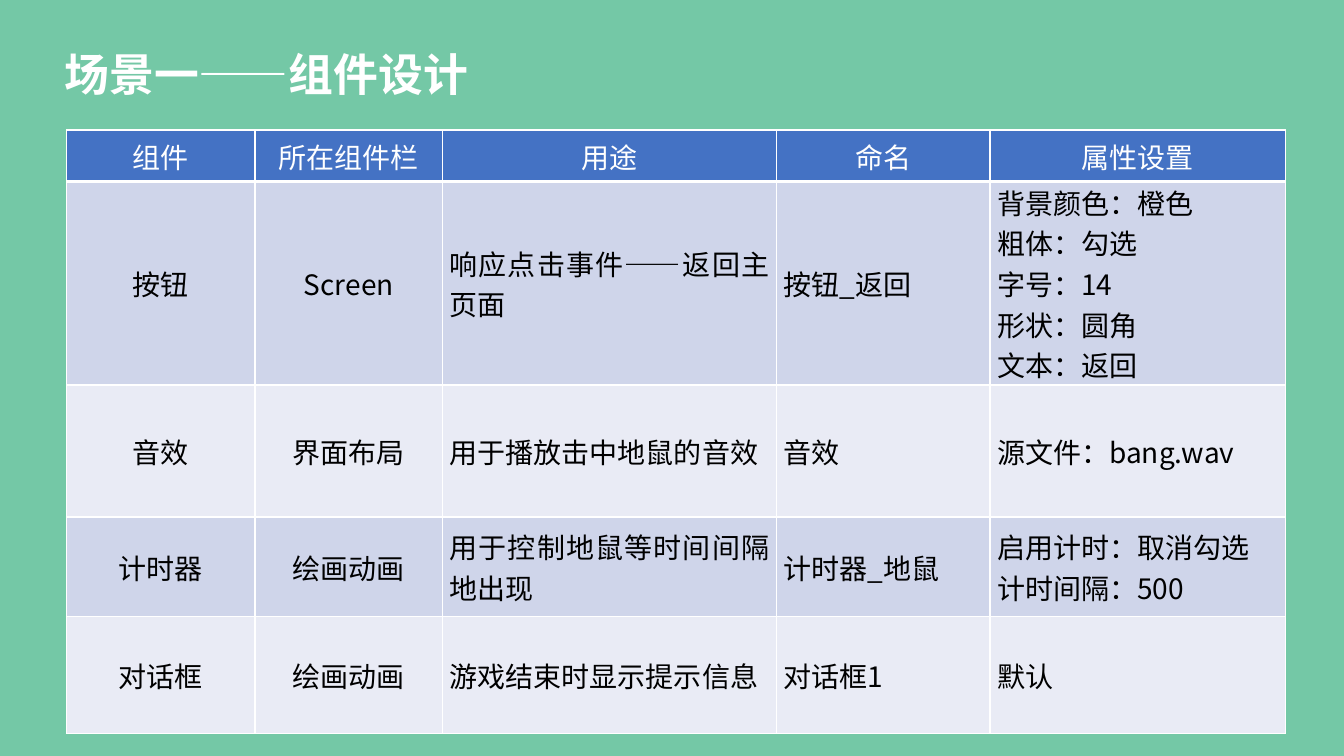
from dataclasses import dataclass

from lxml.etree import SubElement
from pptx import Presentation
from pptx.dml.color import RGBColor
from pptx.enum.text import MSO_ANCHOR as Anchor, PP_ALIGN as Align
from pptx.oxml.ns import qn
from pptx.util import Inches, Pt

TITLE = "场景一——组件设计"
HEADERS = ["组件", "所在组件栏", "用途", "命名", "属性设置"]
COMPONENTS = [
    ["按钮", "Screen", "响应点击事件——返回主页面", "按钮_返回",
     "背景颜色：橙色\n粗体：勾选\n字号：14\n形状：圆角\n文本：返回"],
    ["音效", "界面布局", "用于播放击中地鼠的音效", "音效", "源文件：bang.wav"],
    ["计时器", "绘画动画", "用于控制地鼠等时间间隔地出现", "计时器_地鼠",
     "启用计时：取消勾选\n计时间隔：500"],
    ["对话框", "绘画动画", "游戏结束时显示提示信息", "对话框1", "默认"],
]

COLUMN_WIDTHS = [1.87, 1.86, 3.31, 2.12, 2.93]
ROW_HEIGHTS = [0.51, 2.02, 1.31, 0.99, 1.16]
TABLE_LEFT, TABLE_TOP = 0.66, 1.29
TITLE_BOX = (0.54, 0.47, 6.13, 0.69)
CENTERED_COLUMNS = 2
HEADER_MARGINS = (0.1, 0.05)
LOOSE_MARGINS = (0.11, 0.05)
TIGHT_MARGINS = (0.07, 0)


@dataclass(frozen=True)
class Theme:
    font: str = "Noto Sans CJK SC"
    title_size: int = 32
    table_size: int = 20
    background: str = "74C8A6"
    header: str = "4472C4"
    bands: tuple = ("CFD5EA", "E9EBF5")
    light: str = "FFFFFF"
    dark: str = "000000"
    line: float = 1
    header_line: float = 3


THEME = Theme()


def add_text(paragraph, text, size, color, bold=False):
    run = paragraph.add_run()
    run.text = text
    font = run.font
    font.name, font.size, font.bold = THEME.font, Pt(size), bold
    font.color.rgb = RGBColor.from_string(color)
    SubElement(run._r.get_or_add_rPr(), qn("a:ea"), typeface=THEME.font)


def add_borders(cell, bottom_width):
    properties = cell._tc.get_or_add_tcPr()
    for side in "LRTB":
        width = bottom_width if side == "B" else THEME.line
        line = SubElement(properties, qn(f"a:ln{side}"), w=str(Pt(width)))
        fill = SubElement(line, qn("a:solidFill"))
        SubElement(fill, qn("a:srgbClr"), val=THEME.light)


def fill_cell(cell, text, row, column):
    is_header = row == 0
    add_borders(cell, THEME.header_line if is_header else THEME.line)
    cell.fill.solid()
    fill = THEME.header if is_header else THEME.bands[(row - 1) % 2]
    cell.fill.fore_color.rgb = RGBColor.from_string(fill)
    cell.vertical_anchor = Anchor.MIDDLE

    if is_header:
        margins = HEADER_MARGINS
    else:
        margins = LOOSE_MARGINS if column == 1 else TIGHT_MARGINS
    cell.margin_left = cell.margin_right = Inches(margins[0])
    cell.margin_top = cell.margin_bottom = Inches(margins[1])

    centered = is_header or column < CENTERED_COLUMNS
    frame = cell.text_frame
    for index, line in enumerate(text.split("\n")):
        paragraph = frame.add_paragraph() if index else frame.paragraphs[0]
        paragraph.alignment = Align.CENTER if centered else Align.JUSTIFY
        add_text(paragraph, line, THEME.table_size,
                 THEME.light if is_header else THEME.dark)


def add_title(slide):
    title = slide.shapes.title
    title.left, title.top, title.width, title.height = map(Inches, TITLE_BOX)
    title.text_frame.vertical_anchor = Anchor.TOP
    paragraph = title.text_frame.paragraphs[0]
    paragraph.alignment = Align.LEFT
    paragraph.line_spacing = 0.9
    paragraph.space_before = Pt(0)
    add_text(paragraph, TITLE, THEME.title_size, THEME.light, bold=True)


def add_component_table(slide):
    rows = [HEADERS, *COMPONENTS]
    table = slide.shapes.add_table(
        len(rows), len(HEADERS), Inches(TABLE_LEFT), Inches(TABLE_TOP),
        Inches(sum(COLUMN_WIDTHS)), Inches(sum(ROW_HEIGHTS))).table
    for column, width in zip(table.columns, COLUMN_WIDTHS):
        column.width = Inches(width)
    for row, height in zip(table.rows, ROW_HEIGHTS):
        row.height = Inches(height)
    for row, texts in enumerate(rows):
        for column, text in enumerate(texts):
            fill_cell(table.cell(row, column), text, row, column)


def main():
    presentation = Presentation()
    presentation.slide_width = Inches(13.33)
    presentation.slide_height = Inches(7.5)
    slide = presentation.slides.add_slide(presentation.slide_layouts[5])
    slide.background.fill.solid()
    slide.background.fill.fore_color.rgb = RGBColor.from_string(THEME.background)
    add_title(slide)
    add_component_table(slide)
    presentation.save("out.pptx")


if __name__ == "__main__":
    main()
